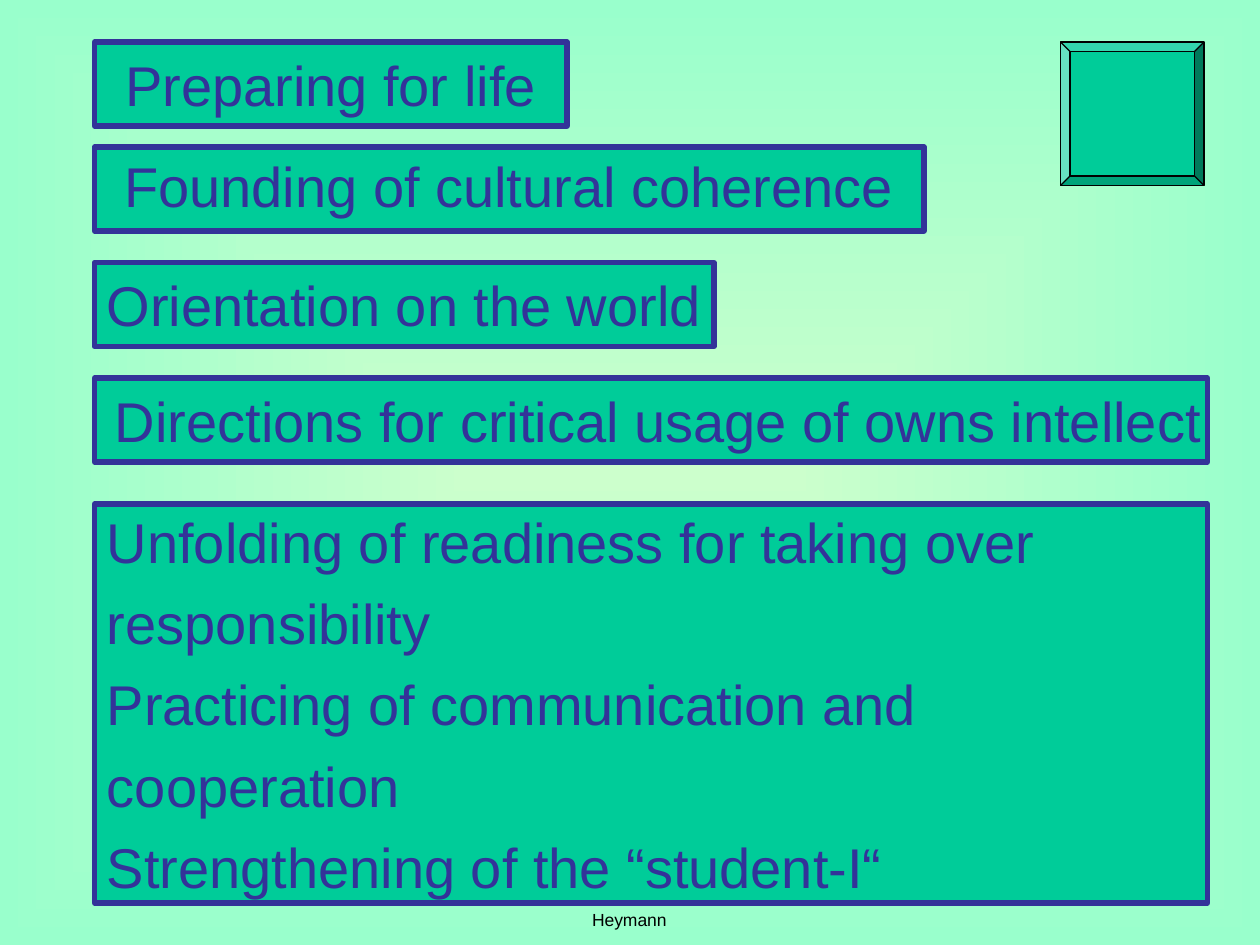
from dataclasses import dataclass

from lxml import etree
from pptx import Presentation
from pptx.dml.color import RGBColor
from pptx.enum import shapes, text
from pptx.oxml.ns import qn
from pptx.util import Pt


@dataclass(frozen=True)
class Theme:
    font: str = "Arial"
    goal_size: int = 32
    footer_size: int = 10
    box: RGBColor = RGBColor(0x00, 0xCC, 0x99)
    ink: RGBColor = RGBColor(0x33, 0x33, 0x99)
    black: RGBColor = RGBColor(0, 0, 0)
    center: RGBColor = RGBColor(0xCC, 0xFF, 0xCC)
    edge: RGBColor = RGBColor(0x99, 0xFF, 0xCC)


class Deck:
    """Holds the theme and the current slide; lengths are in points."""

    def __init__(self, s, theme):
        self.s, self.theme = s, theme

    def background(self):
        """Gradient that runs from the slide's centre to its edges."""
        fill = self.s.background.fill
        fill.gradient()
        for stop, color in zip(fill.gradient_stops, (self.theme.center, self.theme.edge)):
            stop.color.rgb = color
        grad = next(self.s._element.iter(qn("a:gradFill")))
        grad.remove(grad.find(qn("a:lin")))
        rect = etree.SubElement(grad, qn("a:path"), path="rect")
        etree.SubElement(rect, qn("a:fillToRect"), {side: "50000" for side in "ltrb"})

    def shape(self, kind, left, top, width, height, line, line_width):
        sp = self.s.shapes.add_shape(kind, Pt(left), Pt(top), Pt(width), Pt(height))
        sp.shadow.inherit = False
        sp.fill.solid()
        sp.fill.fore_color.rgb = self.theme.box
        sp.line.color.rgb = line
        sp.line.width = Pt(line_width)
        return sp

    def set_text(self, tf, lines, size, color, align=text.PP_ALIGN.LEFT, before=0, spacing=None):
        tf.word_wrap = False
        for i, line in enumerate(lines):
            p = tf.add_paragraph() if i else tf.paragraphs[0]
            p.text = line
            p.alignment = align
            p.space_before = Pt(before)
            p.line_spacing = spacing
            p.font.name = self.theme.font
            p.font.size = Pt(size)
            p.font.color.rgb = color

    def goal_box(self, top, width, height, lines, **style):
        t = self.theme
        sp = self.shape(shapes.MSO_SHAPE.RECTANGLE, 54, top, width, height, t.ink, 3)
        tf = sp.text_frame
        tf.vertical_anchor = text.MSO_ANCHOR.MIDDLE
        self.set_text(tf, lines, t.goal_size, t.ink, **style)

    def button(self, left, top, side):
        sp = self.shape(shapes.MSO_SHAPE.BEVEL, left, top, side, side, self.theme.black, 0.75)
        sp.adjustments[0] = 0.066

    def footer(self, left, top, width, height, line):
        sp = self.s.shapes.add_textbox(Pt(left), Pt(top), Pt(width), Pt(height))
        self.set_text(sp.text_frame, [line], self.theme.footer_size, self.theme.black)
        sp.text_frame.auto_size = text.MSO_AUTO_SIZE.SHAPE_TO_FIT_TEXT


def main():
    prs = Presentation()
    prs.slide_width, prs.slide_height = Pt(720), Pt(540)
    deck = Deck(prs.slides.add_slide(prs.slide_layouts[6]), Theme())
    deck.background()

    single_goals = [
        (24, 270, "Preparing for life", 0, None),
        (84, 474, "Founding of cultural coherence", 8, 0.9),
        (150, 354, "Orientation on the world", 8, None),
        (216, 636, " Directions for critical usage of owns intellect", 8, None),
    ]
    for top, width, goal, before, spacing in single_goals:
        deck.goal_box(top, width, 48, [goal], align=text.PP_ALIGN.CENTER,
                      before=before, spacing=spacing)
    deck.goal_box(288, 636, 228, [
        "Unfolding of readiness for taking over",
        "responsibility",
        "Practicing of communication and",
        "cooperation",
        "Strengthening of the “student-I“",
    ], before=8)

    deck.button(606, 24, 82)
    deck.footer(331.2, 516, 57, 19.4, "Heymann")
    prs.save("out.pptx")


if __name__ == "__main__":
    main()
